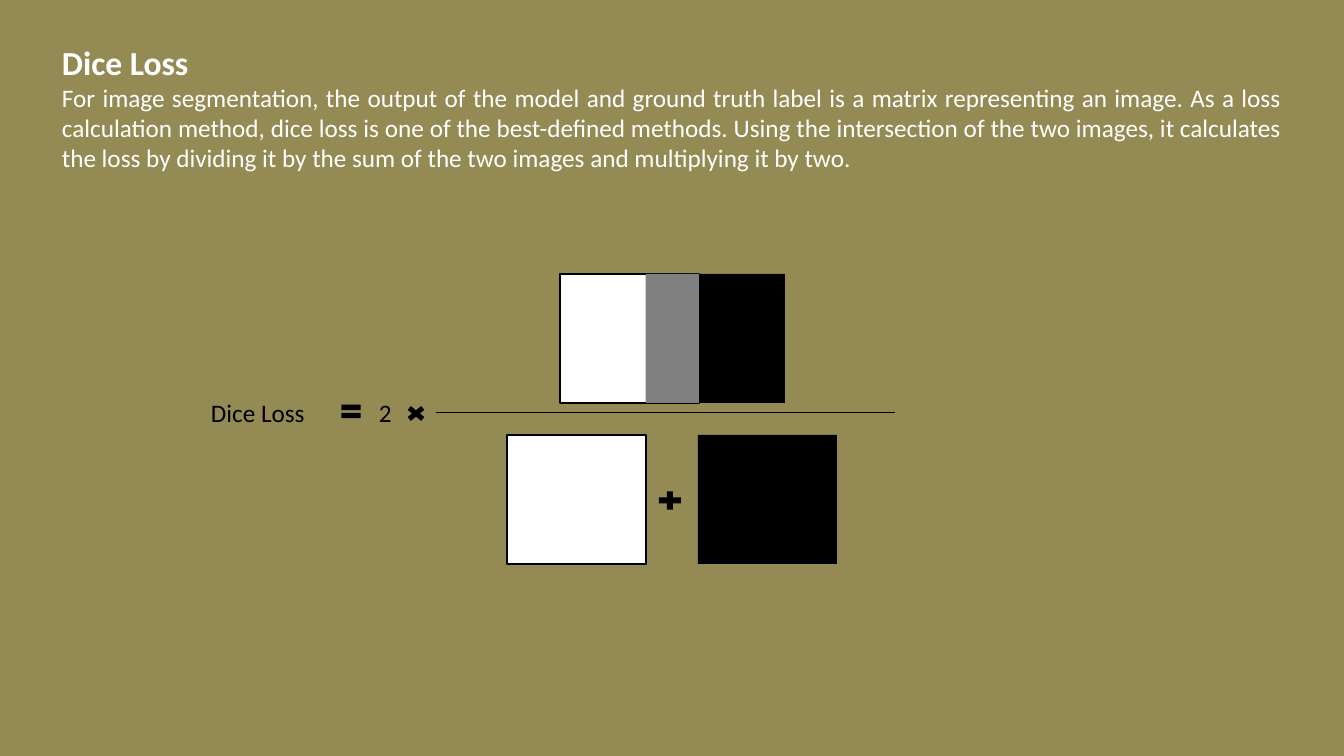
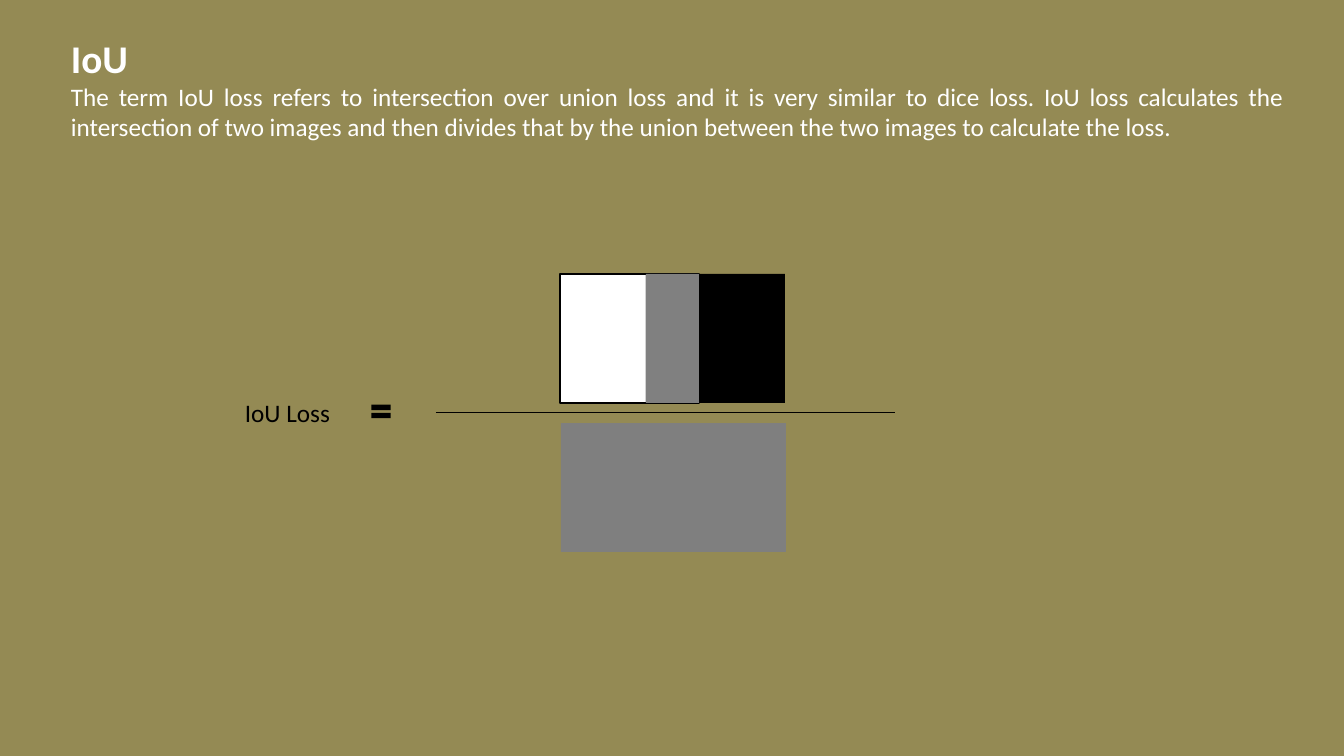
from dataclasses import dataclass

from lxml import etree
from pptx import Presentation
from pptx.dml.color import RGBColor
from pptx.enum.shapes import MSO_CONNECTOR, MSO_SHAPE
from pptx.enum.text import MSO_AUTO_SIZE, PP_ALIGN
from pptx.oxml.ns import qn
from pptx.slide import Slide
from pptx.util import Pt

RECTANGLE = MSO_SHAPE.RECTANGLE
PLUS = MSO_SHAPE.MATH_PLUS
EQUAL = MSO_SHAPE.MATH_EQUAL
MULTIPLY = MSO_SHAPE.MATH_MULTIPLY
STRAIGHT = MSO_CONNECTOR.STRAIGHT
JUSTIFY = PP_ALIGN.JUSTIFY
LEFT = PP_ALIGN.LEFT
GROW = MSO_AUTO_SIZE.SHAPE_TO_FIT_TEXT

EMU_PER_PIXEL = 914400 / 100.8
PAGE_WIDTH, PAGE_HEIGHT = 1344, 756
OLIVE, WHITE, BLACK = "948A54", "FFFFFF", "000000"
GRAY, UNION_GRAY = "808080", "7F7F7F"

TILE_WIDTH, TILE_HEIGHT = 139, 129
TILE_SHIFT = 86
TILE_OVERLAP = TILE_WIDTH - TILE_SHIFT
NUMERATOR_LEFT, NUMERATOR_TOP = 560, 274
BAR_LEFT, BAR_RIGHT, BAR_TOP = 436, 895, 412


@dataclass(frozen=True)
class Area:
    """A rectangle on the page, in pixels."""
    left: int
    top: int
    width: int
    height: int


@dataclass(frozen=True)
class Line:
    """One paragraph of text and its format."""
    text: str
    size: int
    color: str
    bold: bool = False
    align: PP_ALIGN = LEFT
    spacing: float = 1.0
    tab: int = 0


@dataclass(frozen=True)
class Figure:
    """A filled preset shape, outlined when it has a line color."""
    kind: MSO_SHAPE
    area: Area
    fill: str
    outline: str = ""


@dataclass(frozen=True)
class LossPage:
    """Everything that differs between two loss pages."""
    title: str
    title_size: int
    body: str
    heading: Area
    label: Line
    label_area: Area
    figures: list[Figure]


def emu(pixels: int) -> int:
    """Turn pixels into EMU."""
    return round(pixels * EMU_PER_PIXEL)


def place(area: Area) -> tuple[int, ...]:
    """Give left, top, width and height in EMU."""
    return tuple(map(emu, (area.left, area.top, area.width, area.height)))


def rgb(color: str) -> RGBColor:
    """Turn a hex string into a color."""
    return RGBColor.from_string(color)


def tile(left: int, top: int, fill: str, outline: str = "",
         width: int = TILE_WIDTH) -> Figure:
    """Describe one image tile."""
    return Figure(RECTANGLE, Area(left, top, width, TILE_HEIGHT), fill, outline)


def overlapping_tiles(left: int, top: int, first: str, second: str,
                      shared: str, outline: str = "") -> list[Figure]:
    """Describe two tiles and the strip that they share."""
    return [tile(left, top, first, outline),
            tile(left + TILE_SHIFT, top, second),
            tile(left + TILE_SHIFT, top, shared, width=TILE_OVERLAP)]


def equal_sign(left: int) -> Figure:
    """Describe the equal sign beside the fraction bar."""
    return Figure(EQUAL, Area(left, 400, 26, 23), BLACK)


def draw_figure(page: Slide, figure: Figure) -> None:
    """Draw a filled shape."""
    shape = page.shapes.add_shape(figure.kind, *place(figure.area))
    shape.shadow.inherit = False
    shape.fill.solid()
    shape.fill.fore_color.rgb = rgb(figure.fill)
    if figure.outline:
        shape.line.color.rgb = rgb(figure.outline)
        shape.line.width = Pt(1)
    else:
        shape.line.fill.background()


def draw_text(page: Slide, area: Area, lines: list[Line]) -> None:
    """Draw a text box with one paragraph per line."""
    frame = page.shapes.add_textbox(*place(area)).text_frame
    frame.word_wrap = True
    frame.auto_size = GROW
    for index, line in enumerate(lines):
        para = frame.add_paragraph() if index else frame.paragraphs[0]
        para.alignment = line.align
        para.line_spacing = line.spacing
        if line.tab:
            tabs = etree.SubElement(para._p.get_or_add_pPr(), qn("a:tabLst"))
            etree.SubElement(tabs, qn("a:tab"), pos=str(emu(line.tab)), algn="l")
        span = para.add_run()
        span.text = line.text
        looks = {"name": "Calibri", "size": Pt(line.size), "bold": line.bold}
        for name, value in looks.items():
            setattr(span.font, name, value)
        span.font.color.rgb = rgb(line.color)


def draw_fraction_bar(page: Slide) -> None:
    """Draw the line between numerator and denominator."""
    bar = page.shapes.add_connector(
        STRAIGHT, *map(emu, (BAR_LEFT, BAR_TOP, BAR_RIGHT, BAR_TOP)))
    bar.line.color.rgb = rgb(BLACK)
    bar.line.width = Pt(0.5)
    etree.SubElement(bar._element.spPr, qn("a:effectLst"))


def draw_page(deck: Presentation, content: LossPage) -> None:
    """Add a page with a heading and a loss formula."""
    page = deck.slides.add_slide(deck.slide_layouts[6])
    page.background.fill.solid()
    page.background.fill.fore_color.rgb = rgb(OLIVE)
    draw_text(page, content.heading, [
        Line(content.title, content.title_size, WHITE, True, JUSTIFY, 1.19),
        Line(content.body, 18, WHITE, align=JUSTIFY)])
    numerator = overlapping_tiles(NUMERATOR_LEFT, NUMERATOR_TOP,
                                  WHITE, BLACK, GRAY, BLACK)
    for figure in numerator + content.figures:
        draw_figure(page, figure)
    draw_fraction_bar(page)
    draw_text(page, content.label_area, [content.label])


DICE = LossPage(
    title="Dice Loss", title_size=24,
    body="For image segmentation, the output of the model and ground truth "
         "label is a matrix representing an image. As a loss calculation "
         "method, dice loss is one of the best-defined methods. Using the "
         "intersection of the two images, it calculates the loss by dividing "
         "it by the sum of the two images and multiplying it by two.",
    heading=Area(52, 29, 1240, 150),
    label=Line("Dice Loss\t2", 18, BLACK, tab=168),
    label_area=Area(201, 392, 236, 40),
    figures=[tile(507, 435, WHITE, BLACK),
             tile(698, 435, BLACK),
             Figure(PLUS, Area(655, 488, 30, 25), BLACK),
             equal_sign(338),
             Figure(MULTIPLY, Area(403, 403, 26, 21), BLACK)])

IOU = LossPage(
    title="IoU", title_size=28,
    body="The term IoU loss refers to intersection over union loss and it is "
         "very similar to dice loss. IoU loss calculates the intersection of "
         "two images and then divides that by the union between the two "
         "images to calculate the loss.",
    heading=Area(61, 20, 1233, 128),
    label=Line("IoU Loss", 18, BLACK),
    label_area=Area(235, 392, 202, 40),
    figures=[equal_sign(368),
             *overlapping_tiles(561, 423, UNION_GRAY, UNION_GRAY, UNION_GRAY)])


def main() -> None:
    """Build and save the deck."""
    deck = Presentation()
    deck.slide_width = emu(PAGE_WIDTH)
    deck.slide_height = emu(PAGE_HEIGHT)
    for content in (DICE, IOU):
        draw_page(deck, content)
    deck.save("out.pptx")


main()
